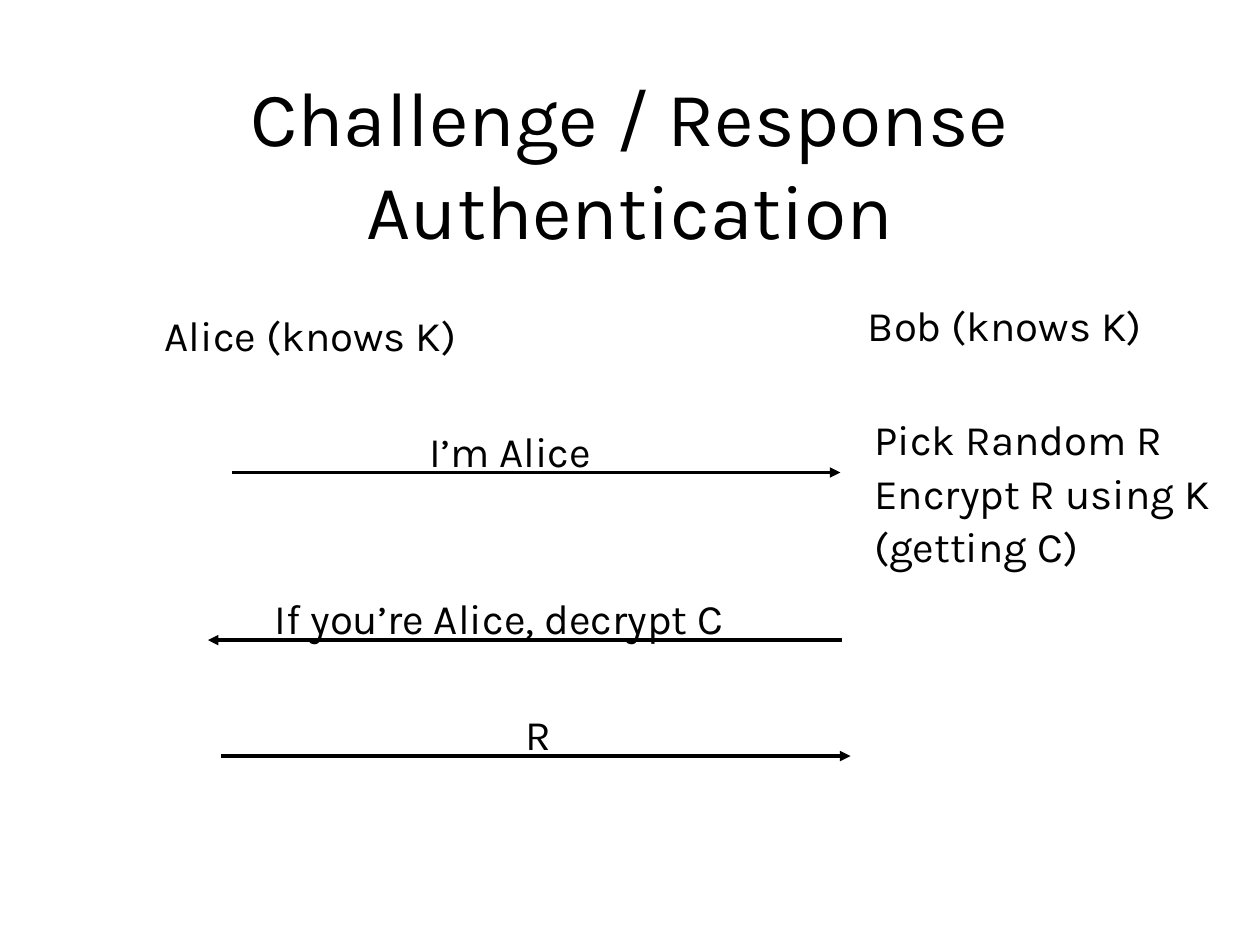
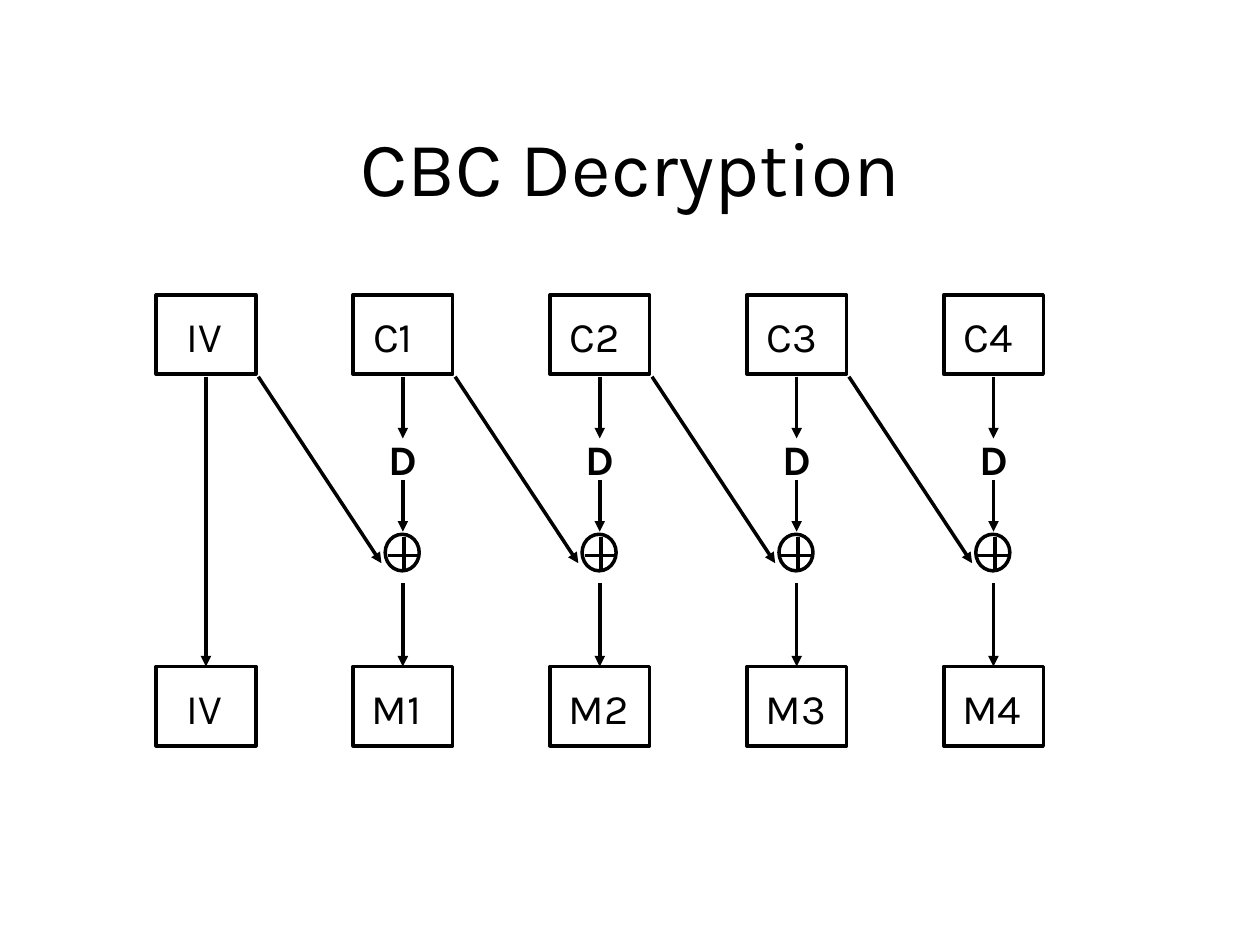
from dataclasses import dataclass
from pptx import Presentation as Deck
from pptx.dml.color import RGBColor as Rgb
from pptx.enum.shapes import MSO_CONNECTOR as Conn, MSO_SHAPE as Form
from pptx.enum.text import MSO_ANCHOR as Anchor, MSO_AUTO_SIZE as Fit, PP_ALIGN as Align
from pptx.oxml.ns import qn
from pptx.util import Inches, Pt
from lxml.etree import SubElement as Sub


@dataclass(frozen=True)
class Theme:
    """Colours, font and sizes that both slides share."""
    ink: Rgb = Rgb(0, 0, 0)
    paper: Rgb = Rgb(255, 255, 255)
    font: str = "Karla"
    head: int = 44
    body: int = 24
    line: int = 2
    first: float = 1.01
    rest: float = 1.06


THEME = Theme()
PITCH = 6.25 / 4
LEFT, WIDE, HIGH = 1.24, 0.79, 0.63
TOP, BASE = 2.34, 5.29


def write(slide, area, lines, size=THEME.body, bold=False, wrap=False):
    """Add a text box at area with one paragraph per line."""
    box = slide.shapes.add_textbox(*map(Inches, area))
    frame = box.text_frame
    frame.word_wrap = wrap
    for i, line in enumerate(lines):
        para = frame.add_paragraph() if i else frame.paragraphs[0]
        para.line_spacing = THEME.rest if i else THEME.first
        run = para.add_run()
        run.text = line
        run.font.name, run.font.size, run.font.bold = THEME.font, Pt(size), bold
        run.font.color.rgb = THEME.ink
    return frame


def title(slide, area, text):
    """Add a centred slide title."""
    frame = write(slide, area, [text], THEME.head, wrap=True)
    frame.auto_size = Fit.NONE
    frame.vertical_anchor = Anchor.MIDDLE
    frame.paragraphs[0].alignment = Align.CENTER


def label(slide, area, *lines, bold=False):
    """Add a label that grows with its text."""
    write(slide, area, lines, bold=bold).auto_size = Fit.SHAPE_TO_FIT_TEXT


def stroke(shape):
    """Give a shape or line the shared outline."""
    shape.line.color.rgb = THEME.ink
    shape.line.width = Pt(THEME.line)


def rule(host, x1, y1, x2, y2):
    """Draw a plain straight line on a slide or group."""
    line = host.shapes.add_connector(Conn.STRAIGHT, *map(Inches, (x1, y1, x2, y2)))
    stroke(line)
    Sub(line._element.spPr, qn("a:effectLst"))
    return line


def arrow(slide, *ends):
    """Draw a line with a triangle at its far end."""
    line = rule(slide, *ends)
    Sub(line.line._get_or_add_ln(), qn("a:tailEnd"), type="triangle")


def block(slide, x, y, text):
    """Draw a box that holds a block name."""
    box = slide.shapes.add_shape(Form.ROUNDED_RECTANGLE, *map(Inches, (x, y, WIDE, HIGH)))
    box.adjustments[0] = 0
    box.shadow.inherit = False
    box.fill.solid()
    box.fill.fore_color.rgb = THEME.paper
    stroke(box)
    inset, width = {"I": (0.14, 0.52), "C": (0.06, 0.6), "M": (0.05, 0.7)}[text[0]]
    label(slide, (x + inset, y + 0.07, width, 0.51), text)


def xor(slide, mid):
    """Draw a circled plus as one group."""
    group = slide.shapes.add_group_shape()
    rule(group, mid - 0.12, 4.41, mid + 0.12, 4.41)
    rule(group, mid + 0.01, 4.53, mid + 0.01, 4.26)
    ring = group.shapes.add_shape(Form.OVAL, *map(Inches, (mid - 0.14, 4.24, 0.27, 0.29)))
    ring.shadow.inherit = False
    ring.fill.background()
    stroke(ring)


def login(slide):
    """Build the challenge and response exchange."""
    title(slide, (0.75, 0.48, 8.5, 1.61), "Challenge / Response Authentication")
    label(slide, (1.21, 2.4, 2.52, 0.51), "Alice (knows K)")
    label(slide, (6.79, 2.32, 2.41, 0.51), "Bob (knows K)")
    label(slide, (6.84, 3.23, 2.92, 1.35), "Pick Random R", "Encrypt R using K", "(getting C)")
    steps = [
        (1.84, 6.67, 3.75, 3.31, 1.85, "I’m Alice"),
        (6.68, 1.65, 5.08, 2.08, 3.96, "If you’re Alice, decrypt C"),
        (1.75, 6.75, 6, 4.07, 0.41, "R"),
    ]
    for start, end, y, x, width, text in steps:
        arrow(slide, start, y, end, y)
        label(slide, (x, y - 0.43, width, 0.51), text)


def chain(slide):
    """Build the CBC decryption diagram."""
    title(slide, (0.81, 0.7, 8.39, 1.23), "CBC Decryption")
    for i in range(5):
        x = LEFT + i * PITCH
        mid = x + WIDE / 2
        block(slide, x, TOP, f"C{i}" if i else "IV")
        block(slide, x, BASE, f"M{i}" if i else "IV")
        if not i:
            arrow(slide, mid, 2.99, mid, BASE)
            continue
        for start, end in ((2.99, 3.48), (3.81, 4.22), (4.63, BASE)):
            arrow(slide, mid, start, mid, end)
        arrow(slide, x - PITCH + WIDE + 0.02, 2.99, mid - 0.17, 4.47)
        label(slide, (mid - 0.21, 3.39, 0.45, 0.51), "D", bold=True)
        xor(slide, mid)


def main():
    """Build both slides and save the deck."""
    deck = Deck()
    deck.slide_width, deck.slide_height = Inches(10), Inches(7.5)
    for build in (login, chain):
        build(deck.slides.add_slide(deck.slide_layouts[6]))
    deck.save("out.pptx")


if __name__ == "__main__":
    main()
